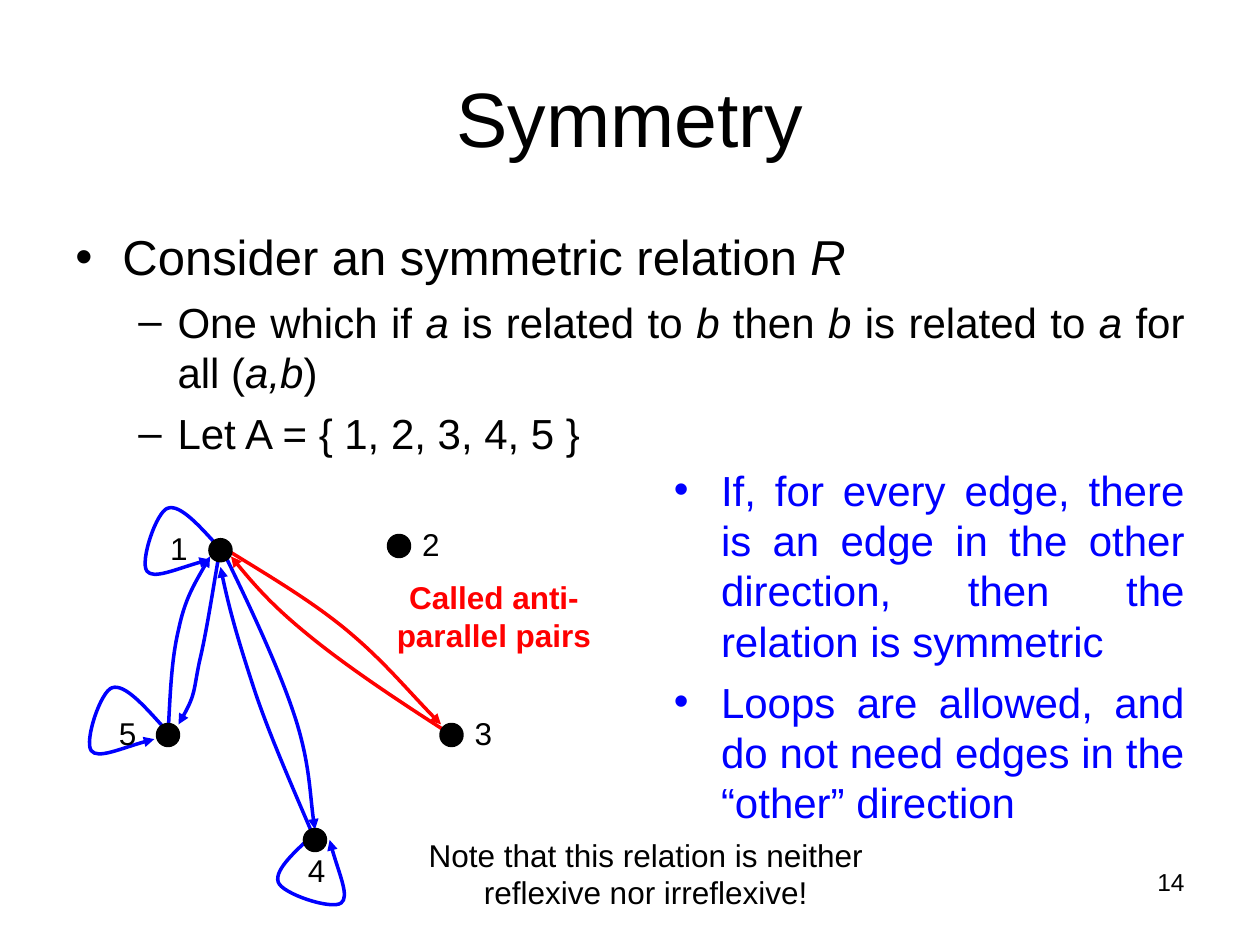
from lxml import etree
from pptx import Presentation
from pptx.dml.color import RGBColor
from pptx.enum.shapes import MSO_SHAPE as Preset
from pptx.enum.text import MSO_ANCHOR as Anchor, PP_ALIGN as Align
from pptx.oxml.ns import qn
from pptx.util import Cm, Pt

BLACK, BLUE, RED = "000000", "0000FF", "FF0000"
GRID = 2.54 / 12  # the graph is laid out on a grid, in cm

# Content: asterisks enclose italic text
TITLE = "Symmetry"
HEADING = ["Consider an symmetric relation *R*"]
POINTS = [
    "One which if *a* is related to *b* then *b* is related to *a* for all (*a,b*)",
    "Let A = { 1, 2, 3, 4, 5 }",
]
REMARKS = [
    "If, for every edge, there is an edge in the other direction, "
    "then the relation is symmetric",
    "Loops are allowed, and do not need edges in the “other” direction",
]
NOTE = ["Note that this relation is neither reflexive nor irreflexive!"]
PAIR_LABEL = ["Called anti-", "parallel pairs"]
PAGE = ["14"]

# Graph, in grid units: name, corner of the dot, corner of the label
NODES = [
    ("1", (20, 51.4), (15, 48.4)),
    ("2", (37, 51), (39, 48)),
    ("3", (42, 69), (44, 66)),
    ("4", (29, 79), (28.1, 79)),
    ("5", (15, 69), (10.1, 66)),
]
# Bezier points: start, then two controls and an end for each stretch
EDGES = [
    (BLUE, [(21, 52), (23.8, 57.7), (26.5, 63.5), (28, 68),
            (29.5, 72.5), (29.5, 76.2), (30, 79)]),
    (BLUE, [(21, 52), (20.3, 56), (19.7, 60.1), (19, 63),
            (18.4, 65.9), (18.7, 66.1), (17, 69)]),
    (BLUE, [(16, 70), (16.2, 66.4), (16.3, 62.9), (17, 60),
            (17.6, 57.1), (18.7, 55.3), (20, 53)]),
    (BLUE, [(30, 80), (27.7, 74.6), (25.4, 69.4), (24, 65),
            (22.6, 60.7), (21.7, 57.5), (21, 54)]),
    (RED, [(43, 70), (38.3, 67), (33.5, 63.8), (30, 61),
           (26.5, 58.2), (24.4, 56), (22, 53)]),
    (RED, [(21, 52), (25.2, 54.6), (29.5, 57.1), (33, 60),
           (36.5, 62.9), (39.1, 66.1), (42, 69)]),
]
LOOP = [(0, 0), (-1.9, -2.1), (-3.8, -4.3), (-5, -3.9), (-6.1, -3.6),
        (-7.7, 1.2), (-7, 2.1), (-6.4, 2.9), (-3.8, 1.7), (-1, 1)]
LOOP_STARTS = [(21, 52.3, False), (15.7, 69.4, False), (30.4, 79, True)]


def color(value):
    return RGBColor.from_string(value)


def grid(*values):
    return [Cm(value * GRID) for value in values]


def add_bullet(paragraph, symbol, tint, margin, hanging):
    properties = paragraph._p.get_or_add_pPr()
    properties.set("marL", str(Cm(margin)))
    properties.set("indent", str(-Cm(hanging)))
    bullet_color = etree.SubElement(properties, qn("a:buClr"))
    etree.SubElement(bullet_color, qn("a:srgbClr"), val=tint)
    etree.SubElement(properties, qn("a:buFont"), typeface="Arial")
    etree.SubElement(properties, qn("a:buChar"), char=symbol)


def write(frame, lines, size=18, tint=BLACK, align=Align.CENTER, bold=False,
          before=0, spacing=None, bullet=None, more=False):
    for index, line in enumerate(lines):
        paragraph = (frame.add_paragraph() if more or index
                     else frame.paragraphs[0])
        paragraph.alignment = align
        paragraph.space_before = Pt(before)
        if spacing:
            paragraph.line_spacing = spacing
        if bullet:
            symbol, margin, hanging = bullet
            add_bullet(paragraph, symbol, tint, margin, hanging)
        for part, text in enumerate(line.split("*")):
            if text:
                run = paragraph.add_run()
                run.text = text
                run.font.name = "Arial"
                run.font.size = Pt(size)
                run.font.bold = bold
                run.font.italic = part % 2 == 1
                run.font.color.rgb = color(tint)


def add_frame(slide, box, wrap=True):
    frame = slide.shapes.add_textbox(*box).text_frame
    frame.word_wrap = wrap
    return frame


def add_curve(slide, points, tint):
    corners = [grid(*point) for point in points]
    builder = slide.shapes.build_freeform(*corners[0])
    builder.add_line_segments(corners[1:], close=False)
    shape = builder.convert_to_shape()
    shape.shadow.inherit = False
    shape.fill.background()
    shape.line.color.rgb = color(tint)
    shape.line.width = Pt(2)
    etree.SubElement(shape.line._get_or_add_ln(), qn("a:tailEnd"), type="triangle")
    # Merge every three straight steps into one cubic stretch
    outline = shape._element.find(".//" + qn("a:path"))
    steps = outline.findall(qn("a:lnTo"))
    for first in range(0, len(steps), 3):
        cubic = etree.SubElement(outline, qn("a:cubicBezTo"))
        for step in steps[first:first + 3]:
            cubic.append(step[0])
            outline.remove(step)


def add_graph(slide):
    for tint, points in EDGES:
        add_curve(slide, points, tint)
    for x, y, turned in LOOP_STARTS:
        offsets = [(dy, -dx) if turned else (dx, dy) for dx, dy in LOOP]
        add_curve(slide, [(x + dx, y + dy) for dx, dy in offsets], BLUE)
    for name, dot_corner, label_corner in NODES:
        dot = slide.shapes.add_shape(Preset.OVAL, *grid(*dot_corner, 2, 2))
        dot.shadow.inherit = False
        dot.fill.solid()
        dot.fill.fore_color.rgb = color(BLACK)
        dot.line.color.rgb = color(BLACK)
        dot.line.width = Pt(2)
        label = add_frame(slide, grid(*label_corner, 4.1, 6.2), wrap=False)
        write(label, [name], spacing=1.4)


def main():
    presentation = Presentation()
    presentation.slide_width, presentation.slide_height = Cm(25.4), Cm(19.05)
    slide = presentation.slides.add_slide(presentation.slide_layouts[5])

    # Title
    title = slide.shapes.title
    title.left, title.top, title.width, title.height = grid(6, 3.6, 108, 15)
    title.text_frame.vertical_anchor = Anchor.MIDDLE
    write(title.text_frame, [TITLE], size=44)

    # Definition and remarks
    body = add_frame(slide, grid(6, 21, 108, 64))
    write(body, HEADING, size=28, align=Align.JUSTIFY, before=7,
          bullet=("•", 0.95, 0.95))
    write(body, POINTS, size=24, align=Align.JUSTIFY, before=6,
          bullet=("–", 2.06, 0.79), more=True)
    remarks = add_frame(slide, grid(63, 43.6, 51, 42.4))
    write(remarks, REMARKS, size=24, tint=BLUE, align=Align.JUSTIFY, before=6,
          bullet=("•", 0.95, 0.95))

    # Graph, its captions and the page number
    add_graph(slide)
    write(add_frame(slide, grid(36.6, 54.5, 20.9, 8.4), wrap=False), PAIR_LABEL,
          tint=RED, bold=True)
    write(add_frame(slide, grid(39, 79, 45, 8.4)), NOTE)
    write(add_frame(slide, grid(86, 82, 28, 6.2)), PAGE, size=14, align=Align.RIGHT)

    presentation.save("out.pptx")


if __name__ == "__main__":
    main()
